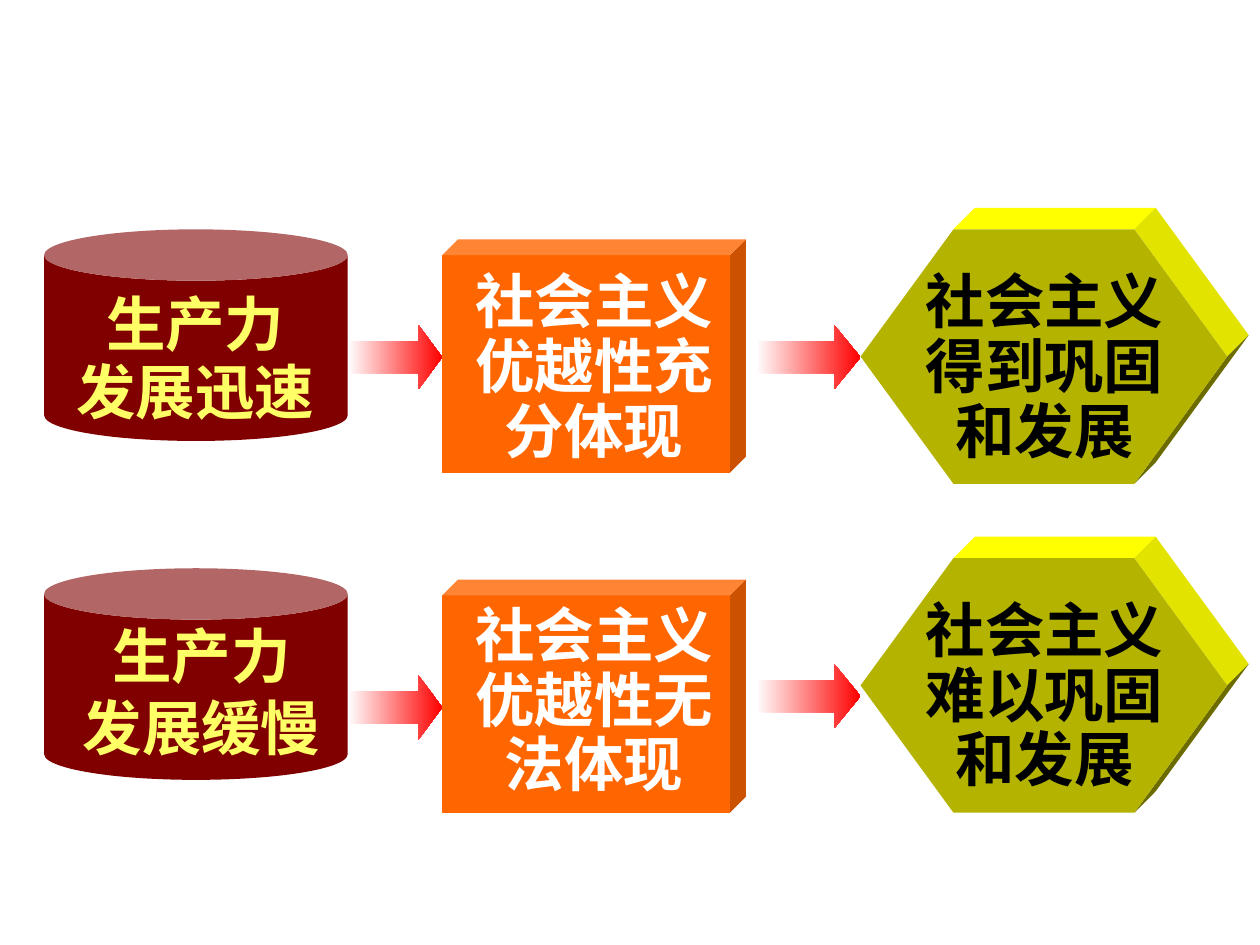
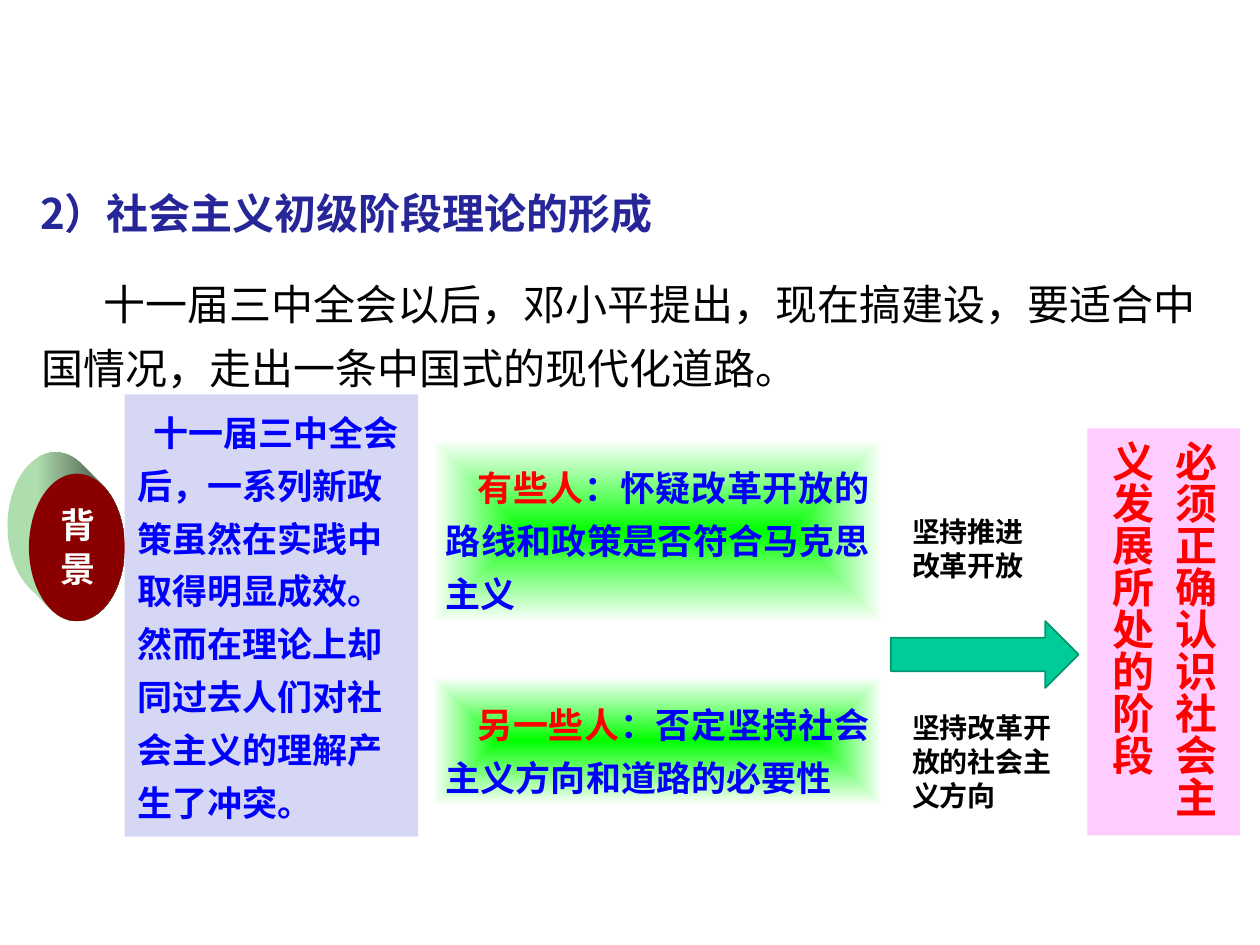
from math import cos, pi, sin

from lxml import etree
from pptx import Presentation
from pptx.dml.color import RGBColor
from pptx.enum.shapes import MSO_SHAPE
from pptx.enum.text import MSO_ANCHOR, PP_ALIGN
from pptx.oxml.ns import qn
from pptx.util import Inches, Pt

CAN, CUBE, HEXAGON = MSO_SHAPE.CAN, MSO_SHAPE.CUBE, MSO_SHAPE.HEXAGON
ARROW, OVAL, RECT = MSO_SHAPE.RIGHT_ARROW, MSO_SHAPE.OVAL, MSO_SHAPE.RECTANGLE
LEFT, CENTER, JUSTIFY = PP_ALIGN.LEFT, PP_ALIGN.CENTER, PP_ALIGN.JUSTIFY
TOP, MIDDLE, BOTTOM = MSO_ANCHOR.TOP, MSO_ANCHOR.MIDDLE, MSO_ANCHOR.BOTTOM

COLORS = {
    "maroon": "800000", "lemon": "FFFF66", "orange": "FF6600",
    "white": "FFFFFF", "black": "000000", "red": "FF0000", "blue": "0000FF",
    "olive": "B3B300", "yellow": "FFFF00", "yellow_side": "E3E300",
    "yellow_shade": "6B6B00", "navy": "262699", "lavender": "D6D6F5",
    "badge": "8A0000", "rim_light": "AEDDAE", "rim_dark": "607560",
    "lime": "00FF00", "pink": "FFCCFF", "teal": "00CC99", "teal_line": "009771",
}
LATIN, CJK = "Times New Roman", "Noto Sans CJK SC"
LINE_HEIGHT = 1.21  # single line spacing as a share of the text size
DEPTH = 0.17        # depth of the extruded shapes

# Each row: cause, effect and outcome with the places that vary between rows
ROWS = [
    {"cause": ["生产力", "发展迅速"], "cause_box": (0.43, 2.48, 2.24, 1.01),
     "cause_spacing": 0.55, "effect": "社会主义优越性充分体现",
     "outcome": "社会主义得到巩固和发展", "can_top": 1.82, "cube_top": 1.9,
     "effect_top": 2.1, "hexagon_top": 1.82, "arrow_tops": (2.58, 2.58)},
    {"cause": ["生产力", "发展缓慢"], "cause_box": (0.52, 5.09, 2.16, 1.06),
     "cause_spacing": 0.6, "effect": "社会主义优越性无法体现",
     "outcome": "社会主义难以巩固和发展", "can_top": 4.51, "cube_top": 4.6,
     "effect_top": 4.75, "hexagon_top": 4.43, "arrow_tops": (5.36, 5.27)},
]
ROW_ARROWS = [(2.76, 0.75, 0.37), (6, 0.83, 0.41)]  # left, width, head

TITLE = "2）社会主义初级阶段理论的形成"
INTRO = "十一届三中全会以后，邓小平提出，现在搞建设，要适合中国情况，走出一条中国式的现代化道路。"
BACKGROUND = ("十一届三中全会后，一系列新政策虽然在实践中取得明显成效。"
              "然而在理论上却同过去人们对社会主义的理解产生了冲突。")
BADGE = "背 景"
OPINIONS = [
    ("有些人", "：怀疑改革开放的路线和政策是否符合马克思主义", 3.49, 1.45),
    ("另一些人", "：否定坚持社会主义方向和道路的必要性", 5.37, 1.02),
]
DEMANDS = [("坚持推进改革开放", (7.14, 4.03, 1.16, 0.64)),
           ("坚持改革开放的社会主义方向", (7.14, 5.59, 1.34, 0.91))]
CONCLUSION = "必须正确认识社会主义发展所处的阶段"


def rgb(color):
    return RGBColor.from_string(COLORS[color])


def paint(shape, fill, line=None):
    """Fill with one colour, or with a gradient given as (colour, position) pairs."""
    shape.shadow.inherit = False
    if isinstance(fill, str):
        shape.fill.solid()
        shape.fill.fore_color.rgb = rgb(fill)
    else:
        shape.fill.gradient()
        shape.fill.gradient_angle = 0
        for stop, (color, position) in zip(shape.fill.gradient_stops, fill):
            stop.color.rgb = rgb(color)
            stop.position = position
    if line:
        shape.line.color.rgb = rgb(line)
        shape.line.width = Pt(1)
    else:
        shape.line.fill.background()
    return shape


def add_preset(slide, preset, box, fill, adjustments=(), line=None):
    shape = slide.shapes.add_shape(preset, *map(Inches, box))
    for i, value in enumerate(adjustments):
        shape.adjustments[i] = value
    return paint(shape, fill, line)


def add_outline(slide, points, fill):
    points = [(Inches(x), Inches(y)) for x, y in points]
    builder = slide.shapes.build_freeform(*points[0])
    builder.add_line_segments(points[1:], close=True)
    return paint(builder.convert_to_shape(), fill)


def write(shape, paragraphs, size, color, bold=True, align=LEFT, spacing=1,
          before=0, indent=0, anchor=TOP, latin=CJK, vertical=False):
    """Write paragraphs; each is a string or a list of (text, colour) runs."""
    frame = shape.text_frame
    frame.word_wrap = True
    frame.vertical_anchor = anchor
    if vertical:
        frame._txBody.bodyPr.set("vert", "eaVert")
    for i, content in enumerate(paragraphs):
        paragraph = frame.add_paragraph() if i else frame.paragraphs[0]
        paragraph.alignment = align
        paragraph.line_spacing = Pt(round(size * LINE_HEIGHT * spacing, 1))
        if i:
            paragraph.space_before = Pt(before)
        if indent:
            paragraph._p.get_or_add_pPr().set("indent", str(Inches(indent)))
        runs = [(content, color)] if isinstance(content, str) else content
        for text, run_color in runs:
            run = paragraph.add_run()
            run.text = text
            run.font.size = Pt(size)
            run.font.bold = bold
            run.font.name = latin
            run.font.color.rgb = rgb(run_color)
            etree.SubElement(run._r.get_or_add_rPr(), qn("a:ea"), typeface=CJK)


def add_text(slide, box, paragraphs, size, color, **style):
    write(slide.shapes.add_textbox(*map(Inches, box)), paragraphs, size, color, **style)


def add_extruded_hexagon(slide, left, top, width, height):
    cut, right, middle = 0.365 * height, left + width, top + height / 2
    edge = [(left + cut, top), (right - cut, top), (right, middle),
            (right - cut, top + height)]
    sides = ["yellow", "yellow_side", "yellow_shade"]
    for (x1, y1), (x2, y2), color in zip(edge, edge[1:], sides):
        add_outline(slide, [(x1, y1), (x1 + DEPTH, y1 - DEPTH),
                            (x2 + DEPTH, y2 - DEPTH), (x2, y2)], color)
    add_preset(slide, HEXAGON, (left, top, width, height), "olive", [0.365])


def add_extruded_oval(slide, left, top, width, height):
    rim = []
    for step in range(72):
        angle = 2 * pi * step / 72
        x, y = cos(angle), sin(angle)
        shift = DEPTH if x / width + y / height < 0 else 0
        rim.append((left + width / 2 * (1 + x) - shift,
                    top + height / 2 * (1 + y) - shift))
    add_outline(slide, rim, [("rim_light", 0.25), ("rim_dark", 0.7)])
    return add_preset(slide, OVAL, (left, top, width, height), "badge")


def center_gradient(shape):
    """Let the gradient run from the middle of the shape to its edges."""
    gradient = shape._element.spPr.find(qn("a:gradFill"))
    linear = gradient.find(qn("a:lin"))
    path = etree.Element(qn("a:path"), path="shape")
    etree.SubElement(path, qn("a:fillToRect"), l="50000", t="50000",
                     r="50000", b="50000")
    gradient.replace(linear, path)


def build_chains(slide):
    block = {"size": 34, "align": CENTER, "latin": LATIN}
    for row in ROWS:
        add_preset(slide, CAN, (0.35, row["can_top"], 2.41, 1.68), "maroon", [0.243])
        add_text(slide, row["cause_box"], row["cause"], color="lemon",
                 spacing=row["cause_spacing"], before=16.3, **block)
        add_preset(slide, CUBE, (3.51, row["cube_top"], 2.41, 1.85), "orange", [0.068])
        add_text(slide, (3.59, row["effect_top"], 2.25, 1.63), [row["effect"]],
                 color="white", spacing=0.9, **block)
        add_extruded_hexagon(slide, 6.83, row["hexagon_top"], 2.91, 2.02)
        add_text(slide, (7.17, row["hexagon_top"] + 0.28, 2.24, 1.63),
                 [row["outcome"]], color="black", spacing=0.9, **block)
        for (left, width, head), top in zip(ROW_ARROWS, row["arrow_tops"]):
            add_preset(slide, ARROW, (left, top, width, 0.51),
                       [("white", 0), ("red", 1)], [0.5, head])


def build_theory(slide):
    add_text(slide, (0.22, 1.34, 9, 0.6), [TITLE], 24, "navy", anchor=BOTTOM)

    background = add_preset(slide, RECT, (0.99, 3.13, 2.33, 3.51), "lavender")
    write(background, [BACKGROUND], 20, "blue", spacing=1.25, indent=0.13)
    badge = add_extruded_oval(slide, 0.23, 3.76, 0.76, 1.17)
    write(badge, [BADGE], 20, "white", anchor=MIDDLE, vertical=True)

    for who, claim, top, height in OPINIONS:
        opinion = add_preset(slide, RECT, (3.44, top, 3.56, height),
                             [("lime", 0), ("white", 1)])
        center_gradient(opinion)
        opinion.text_frame.margin_top = Inches(0.13)
        write(opinion, [[(who, "red"), (claim, "blue")]], 20, "blue",
              align=JUSTIFY, spacing=1.25, indent=0.25)

    conclusion = add_preset(slide, RECT, (8.63, 3.4, 1.21, 3.23), "pink")
    write(conclusion, [CONCLUSION], 24, "red", spacing=1.25, vertical=True)
    add_preset(slide, ARROW, (7.07, 4.93, 1.49, 0.53), "teal", line="teal_line")
    for demand, box in DEMANDS:
        add_text(slide, box, [demand], 16, "black")
    add_text(slide, (0.23, 2.06, 9.51, 1.11), [INTRO], 24, "black", bold=False,
             spacing=1.25, indent=0.49)


def main():
    deck = Presentation()
    deck.slide_width, deck.slide_height = Inches(10), Inches(7.5)
    for build in (build_chains, build_theory):
        build(deck.slides.add_slide(deck.slide_layouts[6]))
    deck.save("out.pptx")


if __name__ == "__main__":
    main()
